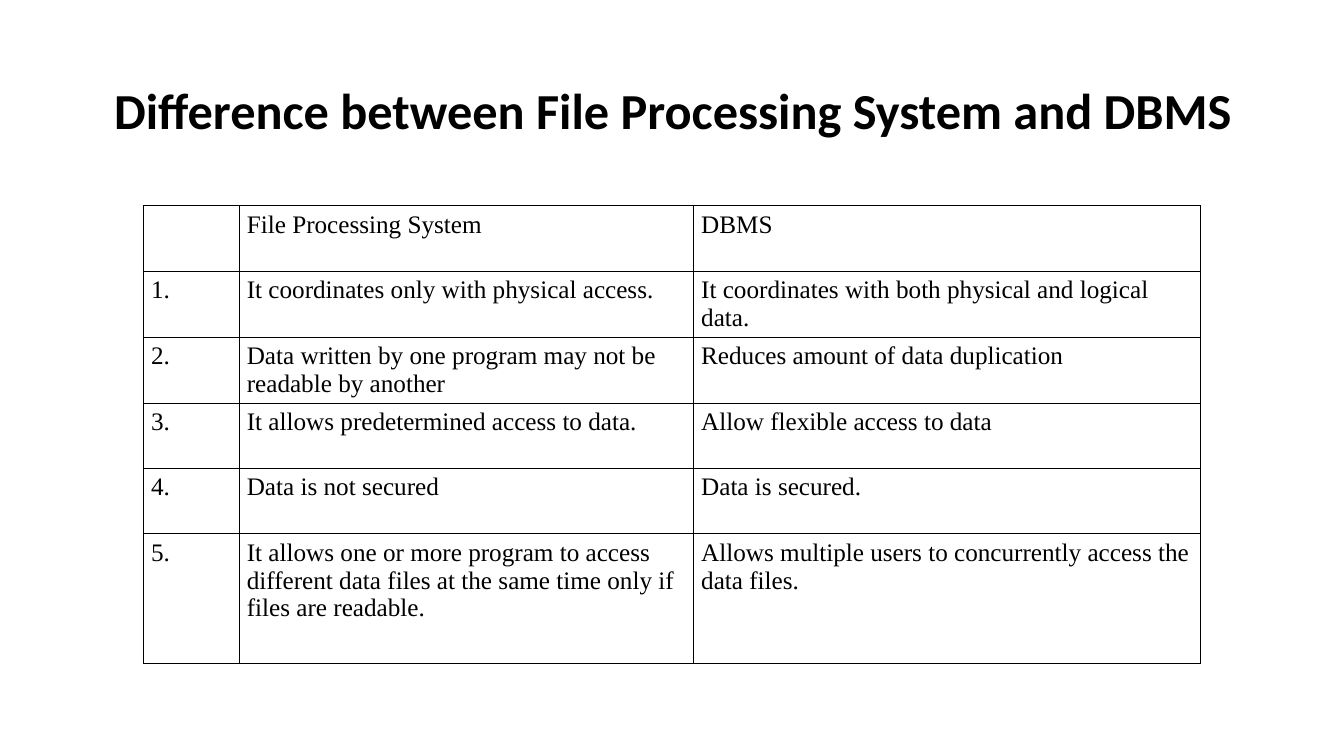
from lxml import etree
from pptx import Presentation
from pptx.dml import color
from pptx.enum import text
from pptx.oxml import ns
from pptx.util import Inches, Pt

ROWS = [
    ("", "File Processing System", "DBMS"),
    ("1.", "It coordinates only with physical access.",
     "It coordinates with both physical and logical data."),
    ("2.", "Data written by one program may not be readable by another",
     "Reduces amount of data duplication"),
    ("3.", "It allows predetermined access to data.", "Allow flexible access to data"),
    ("4.", "Data is not secured", "Data is secured."),
    ("5.", "It allows one or more program to access different data files "
     "at the same time only if files are readable.",
     "Allows multiple users to concurrently access the data files."),
]
WIDTHS = (0.95, 4.51, 5.03)
HEIGHTS = (0.65,) * 5 + (1.29,)


def rgb(code):
    """Turn a hex string into a colour."""
    return color.RGBColor.from_string(code)


def write(frame, words, font, size, bold=False, after=0, line=None):
    """Write one left-aligned paragraph into a text frame."""
    para = frame.paragraphs[0]
    para.alignment = text.PP_ALIGN.LEFT
    para.space_after = Pt(after)
    para.line_spacing = line
    para.font.size = Pt(size)
    if words:
        run = para.add_run()
        run.text = words
        run.font.name = font
        run.font.size = Pt(size)
        run.font.bold = bold
        run.font.color.rgb = rgb("000000")


def border(cell, code="000000", width=0.45):
    """Draw a thin line on all four sides of a cell."""
    props = cell._tc.get_or_add_tcPr()
    for spot, side in enumerate(("lnL", "lnR", "lnT", "lnB")):
        edge = etree.Element(ns.qn("a:" + side), w=str(Pt(width)))
        fill = etree.SubElement(edge, ns.qn("a:solidFill"))
        etree.SubElement(fill, ns.qn("a:srgbClr"), val=code)
        props.insert(spot, edge)


def title(slide, left, top, width, height):
    """Place the slide title in its box."""
    shape = slide.shapes.title
    shape.left, shape.top = Inches(left), Inches(top)
    shape.width, shape.height = Inches(width), Inches(height)
    frame = shape.text_frame
    frame.word_wrap = True
    frame.auto_size = text.MSO_AUTO_SIZE.NONE
    frame.vertical_anchor = text.MSO_ANCHOR.MIDDLE
    write(frame, " Difference between File Processing System and DBMS",
          "Calibri", 36, bold=True, line=0.9)


def grid(slide, left, top, width, height):
    """Place the comparison table in its box."""
    table = slide.shapes.add_table(
        len(ROWS), len(WIDTHS), Inches(left), Inches(top),
        Inches(width), Inches(height)).table
    table.first_row = table.horz_banding = False
    for col, size in zip(table.columns, WIDTHS):
        col.width = Inches(width * size / sum(WIDTHS))
    for row, size, words in zip(table.rows, HEIGHTS, ROWS):
        row.height = Inches(height * size / sum(HEIGHTS))
        for cell, word in zip(row.cells, words):
            cell.fill.background()
            cell.margin_left = cell.margin_right = Inches(0.08)
            cell.margin_top = cell.margin_bottom = Inches(0.05)
            border(cell)
            write(cell.text_frame, word, "Times New Roman", 18, after=6)


def main():
    """Build and save the slide."""
    deck = Presentation()
    deck.slide_width, deck.slide_height = Inches(13.34), Inches(7.5)
    slide = deck.slides.add_slide(deck.slide_layouts[5])
    title(slide, 0.92, 0.4, 11.5, 1.45)
    grid(slide, 1.42, 2.04, 10.49, 4.53)
    deck.save("out.pptx")


if __name__ == "__main__":
    main()
